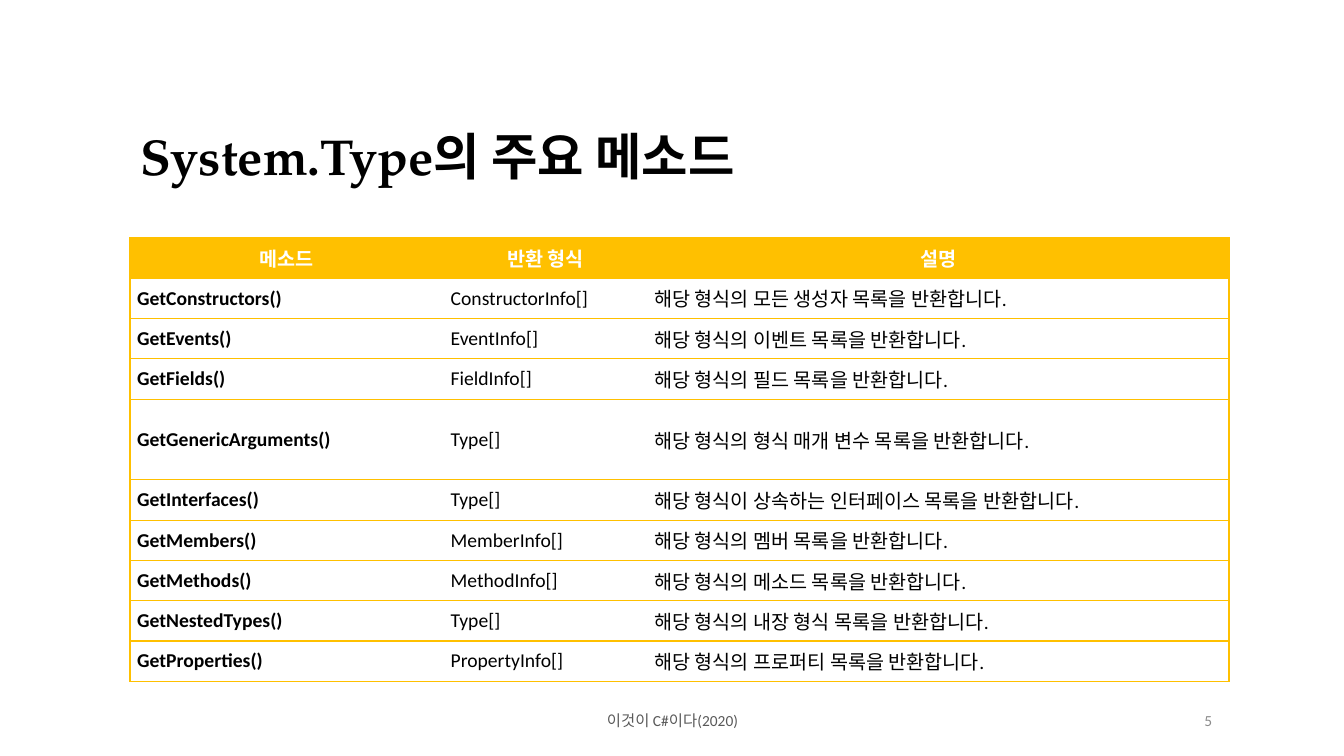
from lxml.etree import SubElement
from pptx import Presentation
from pptx.dml.color import RGBColor
from pptx.enum.text import MSO_ANCHOR, PP_ALIGN
from pptx.oxml.ns import qn
from pptx.util import Inches, Pt

TITLE = "System.Type의 주요 메소드"
FOOTER = "이것이 C#이다(2020)"
PAGE = "5"
HEADINGS = ("메소드", "반환 형식", "설명")
METHODS = [
    ("GetConstructors()", "ConstructorInfo[]", "해당 형식의 모든 생성자 목록을 반환합니다."),
    ("GetEvents()", "EventInfo[]", "해당 형식의 이벤트 목록을 반환합니다."),
    ("GetFields()", "FieldInfo[]", "해당 형식의 필드 목록을 반환합니다."),
    ("GetGenericArguments()", "Type[]", "해당 형식의 형식 매개 변수 목록을 반환합니다."),
    ("GetInterfaces()", "Type[]", "해당 형식이 상속하는 인터페이스 목록을 반환합니다."),
    ("GetMembers()", "MemberInfo[]", "해당 형식의 멤버 목록을 반환합니다."),
    ("GetMethods()", "MethodInfo[]", "해당 형식의 메소드 목록을 반환합니다."),
    ("GetNestedTypes()", "Type[]", "해당 형식의 내장 형식 목록을 반환합니다."),
    ("GetProperties()", "PropertyInfo[]", "해당 형식의 프로퍼티 목록을 반환합니다."),
]
COLUMN_WIDTHS = (3.11, 2.02, 5.77)
ROW_HEIGHT = 0.4
TALL_METHOD = "GetGenericArguments()"
GOLD, WHITE, BLACK = "FFC000", "FFFFFF", "000000"


def color(value):
    return RGBColor.from_string(value)


def style(paragraph, size, ink, align, bold=False, face="Calibri"):
    paragraph.alignment = align
    font = paragraph.font
    font.size, font.bold, font.name = Pt(size), bold, face
    font.color.rgb = color(ink)


def add_text(slide, text, box, anchor, *look):
    frame = slide.shapes.add_textbox(*map(Inches, box)).text_frame
    frame.word_wrap = True
    frame.vertical_anchor = anchor
    frame.text = text
    style(frame.paragraphs[0], *look)
    return frame


def add_borders(cell, gold_sides):
    properties = cell._tc.get_or_add_tcPr()
    for side in "LRTB":
        line = SubElement(properties, qn(f"a:ln{side}"), w=str(Pt(1)))
        if side in gold_sides:
            fill = SubElement(line, qn("a:solidFill"))
            SubElement(fill, qn("a:srgbClr"), val=GOLD)
        else:
            SubElement(line, qn("a:noFill"))


def add_methods(slide):
    rows = [HEADINGS, *METHODS]
    heights = [ROW_HEIGHT * (2 if row[0] == TALL_METHOD else 1) for row in rows]
    box = (1.29, 2.36, sum(COLUMN_WIDTHS), sum(heights))
    table = slide.shapes.add_table(len(rows), len(HEADINGS), *map(Inches, box)).table
    table.horz_banding = False
    for column, width in zip(table.columns, COLUMN_WIDTHS):
        column.width = Inches(width)
    for r, (row, height) in enumerate(zip(rows, heights)):
        table.rows[r].height = Inches(height)
        heading = r == 0
        for c, (text, outer_side) in enumerate(zip(row, ("L", "", "R"))):
            cell = table.cell(r, c)
            cell.text = text
            cell.vertical_anchor = MSO_ANCHOR.MIDDLE
            cell.margin_left = cell.margin_right = Inches(0.07)
            cell.margin_top = cell.margin_bottom = 0
            add_borders(cell, "TB" + outer_side)
            cell.fill.solid()
            cell.fill.fore_color.rgb = color(GOLD if heading else WHITE)
            style(cell.text_frame.paragraphs[0], 14, WHITE if heading else BLACK,
                  PP_ALIGN.CENTER if heading else PP_ALIGN.JUSTIFY, heading or c == 0)


def main():
    """Build the slide listing the main methods of System.Type."""
    deck = Presentation()
    deck.slide_width, deck.slide_height = Inches(13.33), Inches(7.5)
    slide = deck.slides.add_slide(deck.slide_layouts[6])
    add_text(slide, FOOTER, (4.42, 6.95, 4.5, 0.4), MSO_ANCHOR.MIDDLE,
             11, "595959", PP_ALIGN.CENTER)
    add_text(slide, PAGE, (9.42, 6.95, 2.7, 0.4), MSO_ANCHOR.MIDDLE,
             11, "8C8C8C", PP_ALIGN.RIGHT)
    title = add_text(slide, TITLE, (1.29, 1.21, 10.48, 3.07), MSO_ANCHOR.TOP,
                     36, BLACK, PP_ALIGN.LEFT, True, "TeX Gyre Pagella")
    title.margin_top = title.margin_bottom = Inches(0.1)
    title.paragraphs[0].line_spacing = 0.9
    add_methods(slide)
    deck.save("out.pptx")


if __name__ == "__main__":
    main()
